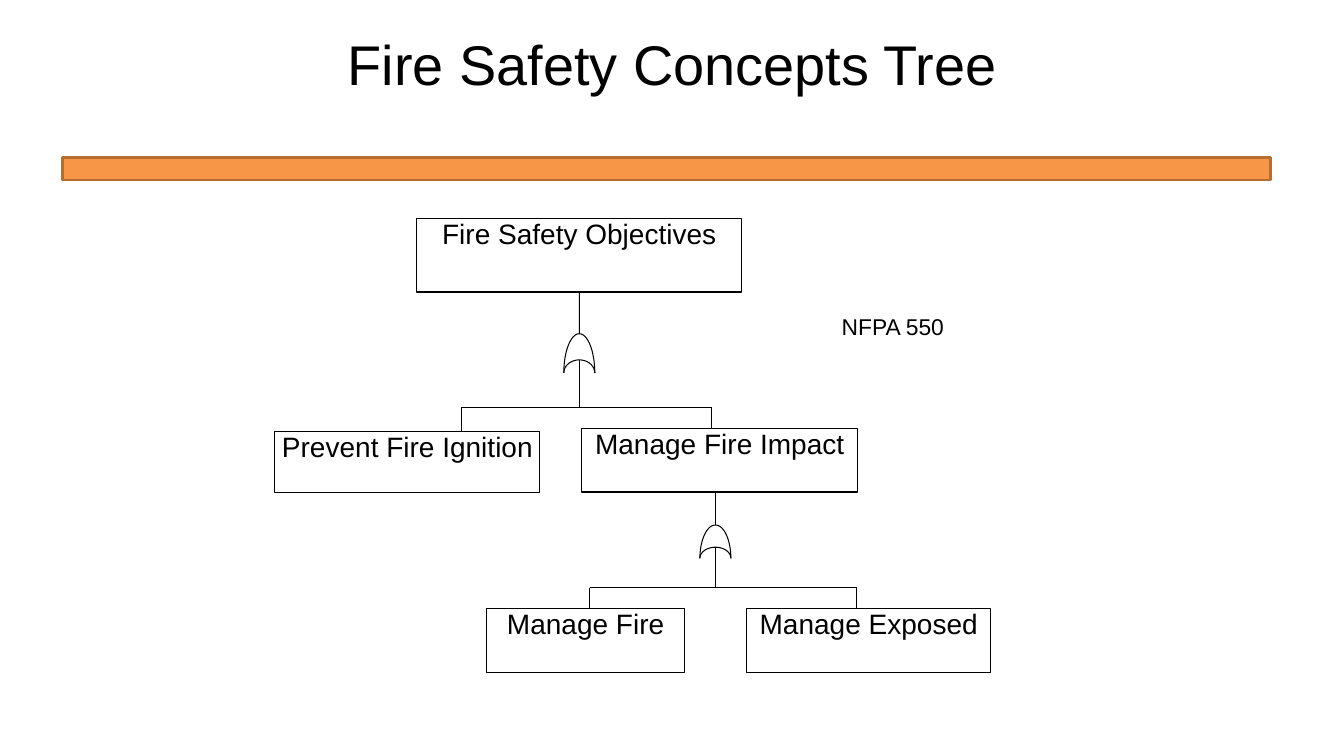
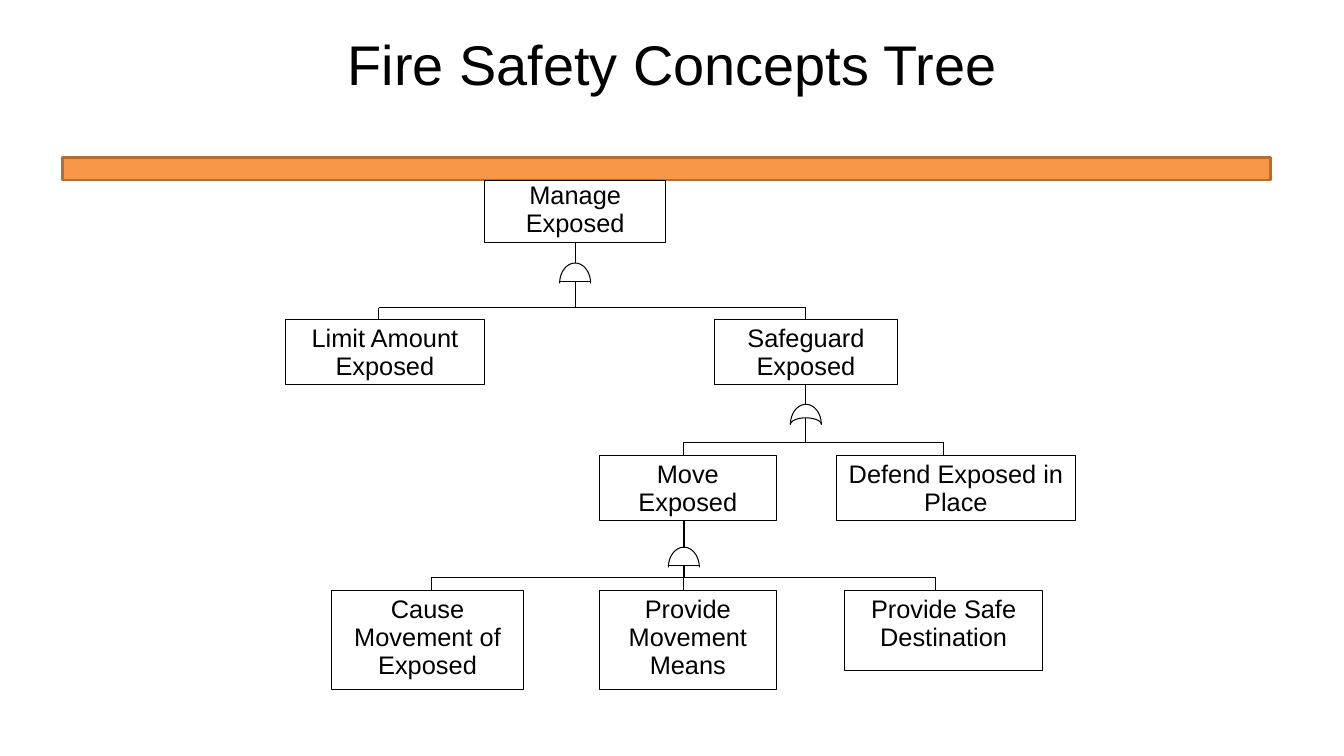
from dataclasses import dataclass
from math import cos, pi, sin

from lxml.etree import SubElement
from pptx import Presentation
from pptx.dml.color import RGBColor
from pptx.enum.shapes import MSO_CONNECTOR as Connector, MSO_SHAPE as Preset
from pptx.enum.text import MSO_ANCHOR as Anchor, PP_ALIGN as Align
from pptx.oxml.ns import qn
from pptx.util import Cm, Pt

COLOURS = {"ink": "000000", "band": "F79646", "band_edge": "B66D31"}
FONT = "Arial"
LINE_SPACING = 0.93
HAIRLINE = 0.75
ARC_STEPS = 32


@dataclass
class Concept:
    text: str
    left: float
    top: float
    width: float
    height: float
    inset: tuple = (0.25, 0.13)
    drop_shift: float = 0

    @property
    def middle(self):
        return self.left + self.width / 2

    @property
    def bottom(self):
        return self.top + self.height


@dataclass
class Branch:
    parent: str
    children: tuple
    kind: str
    apex: float
    base: float
    bus: float
    half_width: float = 0.39
    shift: float = 0
    stem_width: float = HAIRLINE


def colour(key):
    return RGBColor.from_string(COLOURS[key])


def draw_outline(line, key, width):
    line.color.rgb = colour(key)
    line.width = Pt(width)


def write(shape, text, size, align, anchor=Anchor.TOP, inset=(0, 0)):
    frame = shape.text_frame
    frame.word_wrap = True
    frame.vertical_anchor = anchor
    frame.margin_left = frame.margin_right = Cm(inset[0])
    frame.margin_top = frame.margin_bottom = Cm(inset[1])
    paragraph = frame.paragraphs[0]
    paragraph.alignment = align
    paragraph.line_spacing = LINE_SPACING
    run = paragraph.add_run()
    run.text = text
    run.font.name = FONT
    run.font.size = Pt(size)
    run.font.color.rgb = colour("ink")


def add_rule(slide, start, end, width=HAIRLINE):
    rule = slide.shapes.add_connector(
        Connector.STRAIGHT, *(Cm(value) for value in (*start, *end)))
    draw_outline(rule.line, "ink", width)
    SubElement(rule._element.spPr, qn("a:effectLst"))
    return rule


def add_heading(slide, text):
    band = slide.shapes.add_shape(
        Preset.RECTANGLE, Cm(1.57), Cm(3.96), Cm(30.45), Cm(0.58))
    band.shadow.inherit = False
    band.fill.solid()
    band.fill.fore_color.rgb = colour("band")
    draw_outline(band.line, "band_edge", 2)
    title = slide.shapes.add_textbox(Cm(4.9), Cm(0.76), Cm(24.1), Cm(1.83))
    write(title, text, 39.9, Align.CENTER, Anchor.MIDDLE)


def add_concept(slide, concept, size):
    box = slide.shapes.add_shape(
        Preset.RECTANGLE, Cm(concept.left), Cm(concept.top),
        Cm(concept.width), Cm(concept.height))
    box.shadow.inherit = False
    box.fill.background()
    draw_outline(box.line, "ink", HAIRLINE)
    write(box, concept.text, size, Align.CENTER, inset=concept.inset)
    return box


def add_dome(slide, x, apex, base, half_width):
    angles = [pi * step / ARC_STEPS for step in range(ARC_STEPS + 1)]
    points = [(Cm(x - half_width * cos(angle)),
               Cm(base - (base - apex) * sin(angle))) for angle in angles]
    builder = slide.shapes.build_freeform(*points[0], scale=1.0)
    builder.add_line_segments(points[1:], close=False)
    dome = builder.convert_to_shape()
    dome.shadow.inherit = False
    dome.fill.background()
    draw_outline(dome.line, "ink", HAIRLINE)


def add_gate(slide, kind, x, apex, base, half_width):
    add_dome(slide, x, apex, base, half_width)
    if kind == "or":
        hollow = base - (base - apex) / 3
        add_dome(slide, x, hollow, base, half_width)
        return hollow
    floor = base - 0.04
    add_rule(slide, (x - half_width, floor), (x + half_width, floor))
    return floor


def add_branch(slide, branch, concepts, boxes):
    parent = concepts[branch.parent]
    x = parent.middle + branch.shift
    apex, base, bus = (parent.bottom + offset
                       for offset in (branch.apex, branch.base, branch.bus))
    stem = add_rule(slide, (x, parent.bottom), (x, apex), branch.stem_width)
    if not branch.shift:
        stem.begin_connect(boxes[branch.parent], 2)
    outlet = add_gate(slide, branch.kind, x, apex, base, branch.half_width)
    add_rule(slide, (x, outlet), (x, bus), branch.stem_width)

    drops = []
    for name in branch.children:
        child = concepts[name]
        drop_x = child.middle + child.drop_shift
        drop = add_rule(slide, (drop_x, bus), (drop_x, child.top))
        if not child.drop_shift:
            drop.end_connect(boxes[name], 0)
        drops.append(drop_x)
    add_rule(slide, (min(drops), bus), (max(drops), bus))


def add_tree(slide, concepts, branches, size):
    by_text = {concept.text: concept for concept in concepts}
    boxes = {concept.text: add_concept(slide, concept, size)
             for concept in concepts}
    for branch in branches:
        add_branch(slide, branch, by_text, boxes)


def add_source_note(slide, left, top, text):
    note = slide.shapes.add_textbox(Cm(left), Cm(top), Cm(5.08), Cm(0.91))
    write(note, text, 16.3, Align.LEFT, inset=(0.25, 0.13))


def add_tree_slide(deck, concepts, branches, size):
    slide = deck.slides.add_slide(deck.slide_layouts[6])
    add_heading(slide, "Fire Safety Concepts Tree")
    add_tree(slide, concepts, branches, size)
    return slide


TIGHT = (0.03, 0.03)
OBJECTIVE_CONCEPTS = [
    Concept("Fire Safety Objectives", 10.5, 5.51, 8.2, 1.85, TIGHT),
    Concept("Prevent Fire Ignition", 6.93, 10.87, 6.68, 1.55, TIGHT, 1.36),
    Concept("Manage Fire Impact", 14.66, 10.8, 6.96, 1.6, TIGHT, -0.21),
    Concept("Manage Fire", 12.27, 15.34, 4.98, 1.6, TIGHT, 0.1),
    Concept("Manage Exposed", 18.82, 15.34, 6.15, 1.6, TIGHT, -0.3),
]
OBJECTIVE_BRANCHES = [
    Branch("Fire Safety Objectives",
           ("Prevent Fire Ignition", "Manage Fire Impact"),
           "or", 1.05, 2.04, 2.9),
    Branch("Manage Fire Impact", ("Manage Fire", "Manage Exposed"),
           "or", 0.83, 1.67, 2.41, shift=-0.11),
]
EXPOSED_CONCEPTS = [
    Concept("Manage Exposed", 12.22, 4.55, 4.55, 1.57, TIGHT),
    Concept("Limit Amount Exposed", 7.2, 8.05, 5, 1.63, drop_shift=-0.16),
    Concept("Safeguard Exposed", 18, 8.05, 4.62, 1.63),
    Concept("Move Exposed", 15.11, 11.48, 4.45, 1.63, drop_shift=-0.1),
    Concept("Defend Exposed in Place", 21.08, 11.48, 6.02, 1.63,
            drop_shift=-0.32),
    Concept("Cause Movement of Exposed", 8.36, 14.88, 4.83, 2.49,
            drop_shift=0.1),
    Concept("Provide Movement Means", 15.11, 14.88, 4.45, 2.49,
            drop_shift=-0.1),
    Concept("Provide Safe Destination", 21.29, 14.88, 4.98, 2.01,
            drop_shift=-0.21),
]
EXPOSED_BRANCHES = [
    Branch("Manage Exposed", ("Limit Amount Exposed", "Safeguard Exposed"),
           "and", 0.51, 1.02, 1.63),
    Branch("Safeguard Exposed", ("Move Exposed", "Defend Exposed in Place"),
           "or", 0.51, 1.02, 1.47),
    Branch("Move Exposed",
           ("Cause Movement of Exposed", "Provide Movement Means",
            "Provide Safe Destination"),
           "and", 0.68, 1.19, 1.44, shift=-0.1, stem_width=1),
]


def main():
    deck = Presentation()
    deck.slide_width, deck.slide_height = Cm(33.87), Cm(19.05)
    objectives = add_tree_slide(
        deck, OBJECTIVE_CONCEPTS, OBJECTIVE_BRANCHES, 20)
    add_source_note(objectives, 20.96, 7.82, "NFPA 550")
    add_tree_slide(deck, EXPOSED_CONCEPTS, EXPOSED_BRANCHES, 18.1)
    deck.save("out.pptx")


if __name__ == "__main__":
    main()
